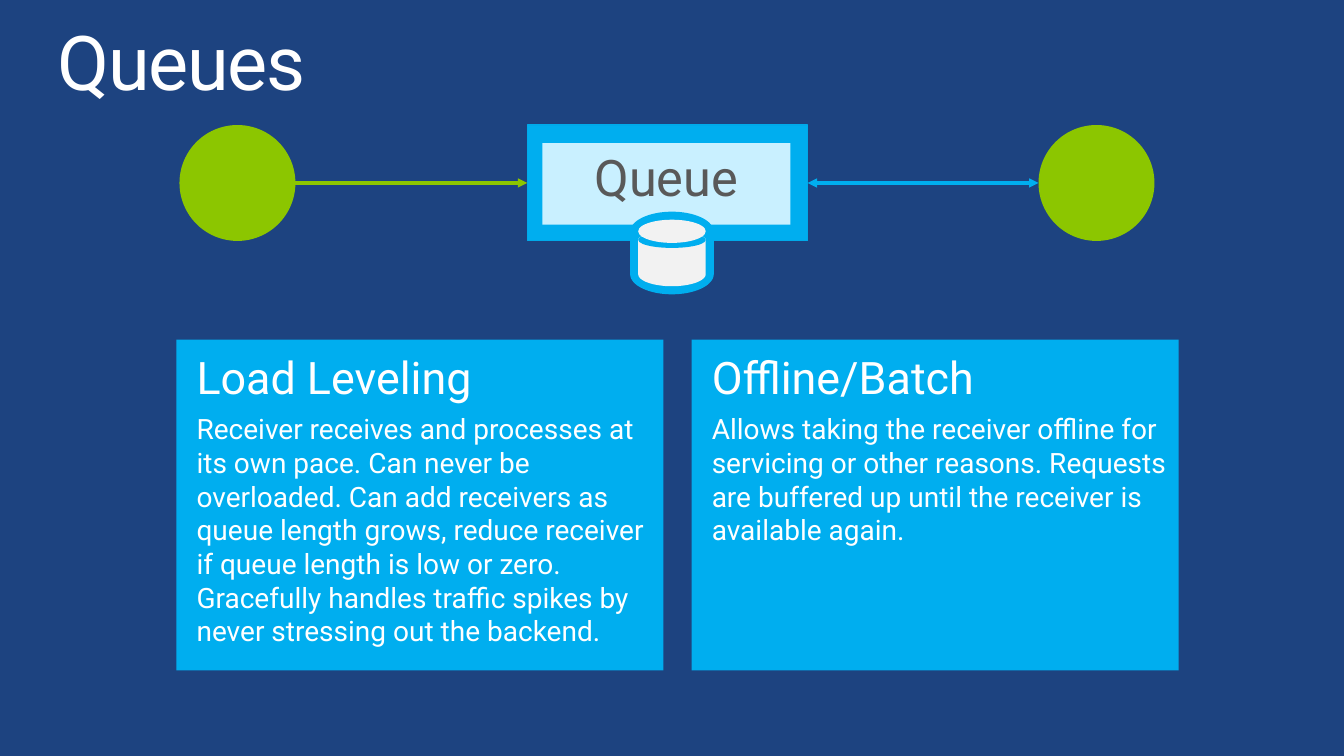
from dataclasses import dataclass
from math import cos, pi, sin

from pptx import Presentation
from pptx.dml.color import RGBColor
from pptx.enum.shapes import MSO_CONNECTOR, MSO_SHAPE
from pptx.enum.text import MSO_ANCHOR, PP_ALIGN
from pptx.oxml.ns import qn
from pptx.util import Inches, Pt
from lxml.etree import SubElement


@dataclass(frozen=True)
class Theme:
    """Colours, font and type sizes of the slide."""
    background: str = "1D4380"
    blue: str = "00AEEF"
    edge: str = "00AAEA"
    pale: str = "C9F0FF"
    green: str = "8CC600"
    light: str = "F2F2F2"
    white: str = "FFFFFF"
    grey: str = "595959"
    font: str = "Roboto"
    title: int = 54
    label: int = 36
    heading: int = 32
    body: int = 20


THEME = Theme()

CARDS = [
    ("Load Leveling",
     "Receiver receives and processes at its own pace. Can never be overloaded. "
     "Can add receivers as queue length grows, reduce receiver if queue length is "
     "low or zero. Gracefully handles traffic spikes by never stressing out the backend."),
    ("Offline/Batch",
     "Allows taking the receiver offline for servicing or other reasons. Requests are "
     "buffered up until the receiver is available again."),
]


def paint(shape, fill, edge=None):
    """Give a shape a flat fill, an optional thin edge and no shadow."""
    shape.shadow.inherit = False
    shape.fill.solid()
    shape.fill.fore_color.rgb = RGBColor.from_string(fill)
    if edge:
        shape.line.color.rgb = RGBColor.from_string(edge)
        shape.line.width = Pt(0.75)
    else:
        shape.line.fill.background()
    return shape


def add_block(slide, kind, box, fill, edge=None):
    """Add a painted preset shape in the given box."""
    shape = slide.shapes.add_shape(kind, *map(Inches, box))
    return paint(shape, fill, edge)


def frame_text(shape, margins, anchor=MSO_ANCHOR.TOP):
    """Set wrapping, insets and anchor, and return the text frame."""
    frame = shape.text_frame
    frame.word_wrap = True
    frame.vertical_anchor = anchor
    (frame.margin_left, frame.margin_top,
     frame.margin_right, frame.margin_bottom) = map(Inches, margins)
    return frame


def write(paragraph, text, size, color=THEME.white, align=PP_ALIGN.LEFT,
          after=0, line_spacing=None, tracking=None):
    """Write one formatted run in a paragraph."""
    paragraph.alignment = align
    paragraph.space_after = Pt(after)
    if line_spacing:
        paragraph.line_spacing = line_spacing
    run = paragraph.add_run()
    run.text = text
    run.font.name = THEME.font
    run.font.size = Pt(size)
    run.font.color.rgb = RGBColor.from_string(color)
    if tracking:
        run.font._element.set("spc", str(tracking * 100))


def add_arrow(slide, start, end, y, color, both_ends=False):
    """Draw a horizontal arrow with one or two triangular heads."""
    connector = slide.shapes.add_connector(
        MSO_CONNECTOR.STRAIGHT, Inches(start), Inches(y), Inches(end), Inches(y))
    connector.line.color.rgb = RGBColor.from_string(color)
    connector.line.width = Pt(2.25)
    line = connector.line._get_or_add_ln()
    for tag in (["a:headEnd"] if both_ends else []) + ["a:tailEnd"]:
        SubElement(line, qn(tag), type="triangle")
    SubElement(connector._element.spPr, qn("a:effectLst"))


def add_can(slide, center, top, bottom, radius, rise, drop, fill):
    """Draw a can outline between two arc centres with separate arc heights."""
    steps = 32
    angles = [pi * step / steps for step in range(steps + 1)]
    lower = [(center + radius * cos(a), bottom + drop * sin(a)) for a in angles]
    upper = [(center - radius * cos(a), top - rise * sin(a)) for a in angles]
    points = [(Inches(x), Inches(y)) for x, y in lower + upper]
    builder = slide.shapes.build_freeform(*points[0])
    builder.add_line_segments(points[1:])
    paint(builder.convert_to_shape(), fill)


def add_storage(slide, left, top, width, height):
    """Draw the storage cylinder with a blue outline and a light lid."""
    center = left + width / 2
    rim = 0.08
    radius = width / 2 - rim
    bottom = top + height - 0.2
    add_can(slide, center, top + 0.2, bottom, width / 2, 0.2, 0.2, THEME.blue)
    add_can(slide, center, top + 0.28, bottom, radius, rim, 0.12, THEME.light)
    inner = left + rim
    add_block(slide, MSO_SHAPE.OVAL, (inner, top + 0.2, 2 * radius, 0.16), THEME.blue)
    add_block(slide, MSO_SHAPE.OVAL, (inner, top + rim, 2 * radius, 0.23), THEME.light)


def add_title(slide, left, top, width, height):
    """Add the slide title."""
    shape = slide.shapes.add_textbox(*map(Inches, (left, top, width, height)))
    frame = frame_text(shape, (0, 0, 0, 0))
    write(frame.paragraphs[0], "Queues", THEME.title, line_spacing=0.9, tracking=-1)


def add_flow(slide, left, top, width, height):
    """Draw sender, queue and receiver in a row with their arrows."""
    queue_width = 2.78
    queue_left = left + 3.45
    queue_right = queue_left + queue_width
    receiver_left = left + width - height
    middle = top + height / 2
    add_block(slide, MSO_SHAPE.RECTANGLE, (queue_left, top, queue_width, height),
              THEME.blue, THEME.edge)
    label = add_block(slide, MSO_SHAPE.RECTANGLE,
                      (queue_left + 0.15, top + 0.18, queue_width - 0.32, 0.81), THEME.pale)
    frame = frame_text(label, (0.1, 0.05, 0.1, 0.2), MSO_ANCHOR.MIDDLE)
    write(frame.paragraphs[0], "Queue", THEME.label, THEME.grey, PP_ALIGN.CENTER)
    for circle_left in (left, receiver_left):
        add_block(slide, MSO_SHAPE.OVAL, (circle_left, top, height, height), THEME.green)
    add_arrow(slide, left + height, queue_left, middle, THEME.green)
    add_arrow(slide, queue_right, receiver_left, middle, THEME.blue, both_ends=True)
    add_storage(slide, queue_left + 1.02, top + 0.86, 0.83, 0.82)


def add_card(slide, box, heading, body):
    """Add a blue card with a heading and a paragraph."""
    card = add_block(slide, MSO_SHAPE.RECTANGLE, box, THEME.blue)
    frame = frame_text(card, (0.2, 0.1, 0.1, 0))
    write(frame.paragraphs[0], heading, THEME.heading, after=6)
    write(frame.add_paragraph(), body, THEME.body)


def add_cards(slide, left, top, width, height, gap=0.28):
    """Lay the cards side by side across the given box."""
    card_width = (width - gap * (len(CARDS) - 1)) / len(CARDS)
    for index, (heading, body) in enumerate(CARDS):
        card_left = left + index * (card_width + gap)
        add_card(slide, (card_left, top, card_width, height), heading, body)


def main():
    """Build and save the slide."""
    presentation = Presentation()
    presentation.slide_width = Inches(13.33)
    presentation.slide_height = Inches(7.5)
    slide = presentation.slides.add_slide(presentation.slide_layouts[6])
    slide.background.fill.solid()
    slide.background.fill.fore_color.rgb = RGBColor.from_string(THEME.background)
    add_title(slide, 0.57, 0.25, 12.19, 0.82)
    add_cards(slide, 1.75, 3.37, 9.94, 3.28)
    add_flow(slide, 1.78, 1.24, 9.67, 1.15)
    presentation.save("out.pptx")


if __name__ == "__main__":
    main()
